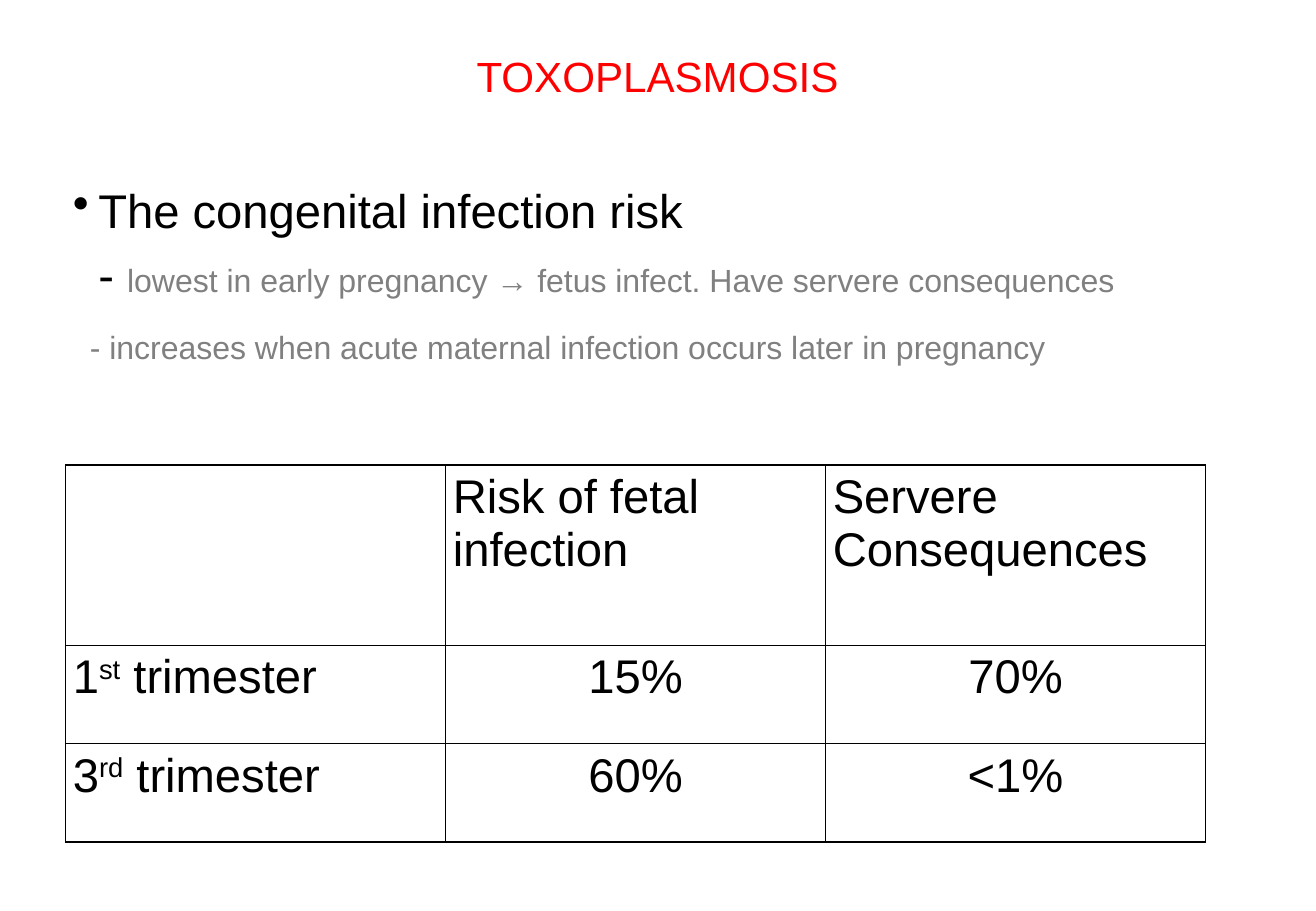
from dataclasses import dataclass

from lxml import etree
from pptx import Presentation
from pptx import util as u
from pptx.dml.color import RGBColor
from pptx.enum import text
from pptx.oxml import ns

COLORS = {"title": "FF0000", "main": "000000", "detail": "808080"}
FONT = "Arial"
MAIN_SIZE = 28
DETAIL_SIZE = 19
OUTER_LINE = 1.08
INNER_LINE = 0.45
COLUMN_WIDTH = 3.13
ROW_HEIGHTS = (1.48, 0.81, 0.81)


@dataclass(frozen=True)
class Piece:
    words: str
    size: float = MAIN_SIZE
    color: str = "main"
    raised: bool = False


@dataclass(frozen=True)
class Point:
    pieces: tuple[Piece, ...]
    margin: float
    hanging: float = 0
    before: float = 0
    bullet: str = ""


POINTS = (
    Point((Piece("The congenital infection risk"),), 0.21, hanging=0.21, bullet="•"),
    Point(
        (
            Piece("- "),
            Piece(
                "lowest in early pregnancy → fetus infect. Have servere consequences",
                DETAIL_SIZE,
                "detail",
            ),
        ),
        0.21,
        before=4.8,
    ),
    Point(
        (
            Piece(
                "- increases when acute maternal infection occurs later in pregnancy",
                DETAIL_SIZE,
                "detail",
            ),
        ),
        0.14,
        before=15,
    ),
)


def trimester(number: str, ending: str) -> tuple[Piece, ...]:
    return Piece(number), Piece(ending, raised=True), Piece(" trimester")


RISK_ROWS = (
    ((), (Piece("Risk of fetal infection"),), (Piece("Servere Consequences"),)),
    (trimester("1", "st"), (Piece("15%"),), (Piece("70%"),)),
    (trimester("3", "rd"), (Piece("60%"),), (Piece("<1%"),)),
)


def style_font(font, size: float, color: str) -> None:
    font.name = FONT
    font.size = u.Pt(size)
    font.color.rgb = RGBColor.from_string(COLORS[color])


def set_margins(owner, side: float, end: float) -> None:
    owner.margin_left = owner.margin_right = u.Inches(side)
    owner.margin_top = owner.margin_bottom = u.Inches(end)


def write_pieces(paragraph, pieces: tuple[Piece, ...]) -> None:
    looks = {(piece.size, piece.color) for piece in pieces}
    if len(looks) == 1:
        style_font(paragraph.font, *looks.pop())
    for piece in pieces:
        run = paragraph.add_run()
        run.text = piece.words
        style_font(run.font, piece.size, piece.color)
        if piece.raised:
            run._r.get_or_add_rPr().set("baseline", "30000")


def add_title(slide) -> None:
    title = slide.shapes.title
    title.left, title.top = u.Inches(0.54), u.Inches(0)
    title.width, title.height = u.Inches(9.75), u.Inches(1.25)
    frame = title.text_frame
    set_margins(frame, 0.06, 0.03)
    frame.vertical_anchor = text.MSO_ANCHOR.MIDDLE
    frame.text = "TOXOPLASMOSIS"
    paragraph = frame.paragraphs[0]
    paragraph.alignment = text.PP_ALIGN.CENTER
    style_font(paragraph.font, 25, "title")


def add_points(slide) -> None:
    box = slide.shapes.add_textbox(
        u.Inches(0.54), u.Inches(1.46), u.Inches(9.66), u.Inches(2.2)
    )
    frame = box.text_frame
    frame.word_wrap = True
    set_margins(frame, 0.06, 0.03)
    for index, point in enumerate(POINTS):
        paragraph = frame.add_paragraph() if index else frame.paragraphs[0]
        properties = paragraph._p.get_or_add_pPr()
        properties.set("marL", str(u.Inches(point.margin)))
        properties.set("indent", str(-u.Inches(point.hanging)))
        if point.before:
            paragraph.space_before = u.Pt(point.before)
        if point.bullet:
            bullet = etree.SubElement(properties, ns.qn("a:buChar"))
            bullet.set("char", point.bullet)
        write_pieces(paragraph, point.pieces)


def add_border(cell, side: str, width: float) -> None:
    properties = cell._tc.get_or_add_tcPr()
    line = etree.SubElement(properties, ns.qn(f"a:ln{side}"), w=str(u.Pt(width)))
    fill = etree.SubElement(line, ns.qn("a:solidFill"))
    etree.SubElement(fill, ns.qn("a:srgbClr"), val=COLORS["main"])


def add_risk_table(slide) -> None:
    row_count, column_count = len(RISK_ROWS), len(RISK_ROWS[0])
    table = slide.shapes.add_table(
        row_count,
        column_count,
        u.Inches(0.54),
        u.Inches(3.83),
        u.Inches(COLUMN_WIDTH * column_count),
        u.Inches(sum(ROW_HEIGHTS)),
    ).table
    table.first_row = table.horz_banding = False
    for column in table.columns:
        column.width = u.Inches(COLUMN_WIDTH)
    for row_index, row in enumerate(RISK_ROWS):
        table.rows[row_index].height = u.Inches(ROW_HEIGHTS[row_index])
        for column_index, pieces in enumerate(row):
            cell = table.cell(row_index, column_index)
            set_margins(cell, 0.06, 0.05)
            outer_sides = {
                "L": column_index == 0,
                "R": column_index == column_count - 1,
                "T": row_index == 0,
                "B": row_index == row_count - 1,
            }
            for side, outer in outer_sides.items():
                add_border(cell, side, OUTER_LINE if outer else INNER_LINE)
            cell.fill.background()
            paragraph = cell.text_frame.paragraphs[0]
            if row_index and column_index:
                paragraph.alignment = text.PP_ALIGN.CENTER
            write_pieces(paragraph, pieces)


def main() -> None:
    presentation = Presentation()
    presentation.slide_width = u.Inches(10.84)
    presentation.slide_height = u.Inches(7.5)
    slide = presentation.slides.add_slide(presentation.slide_layouts[5])
    add_title(slide)
    add_points(slide)
    add_risk_table(slide)
    presentation.save("out.pptx")


if __name__ == "__main__":
    main()
